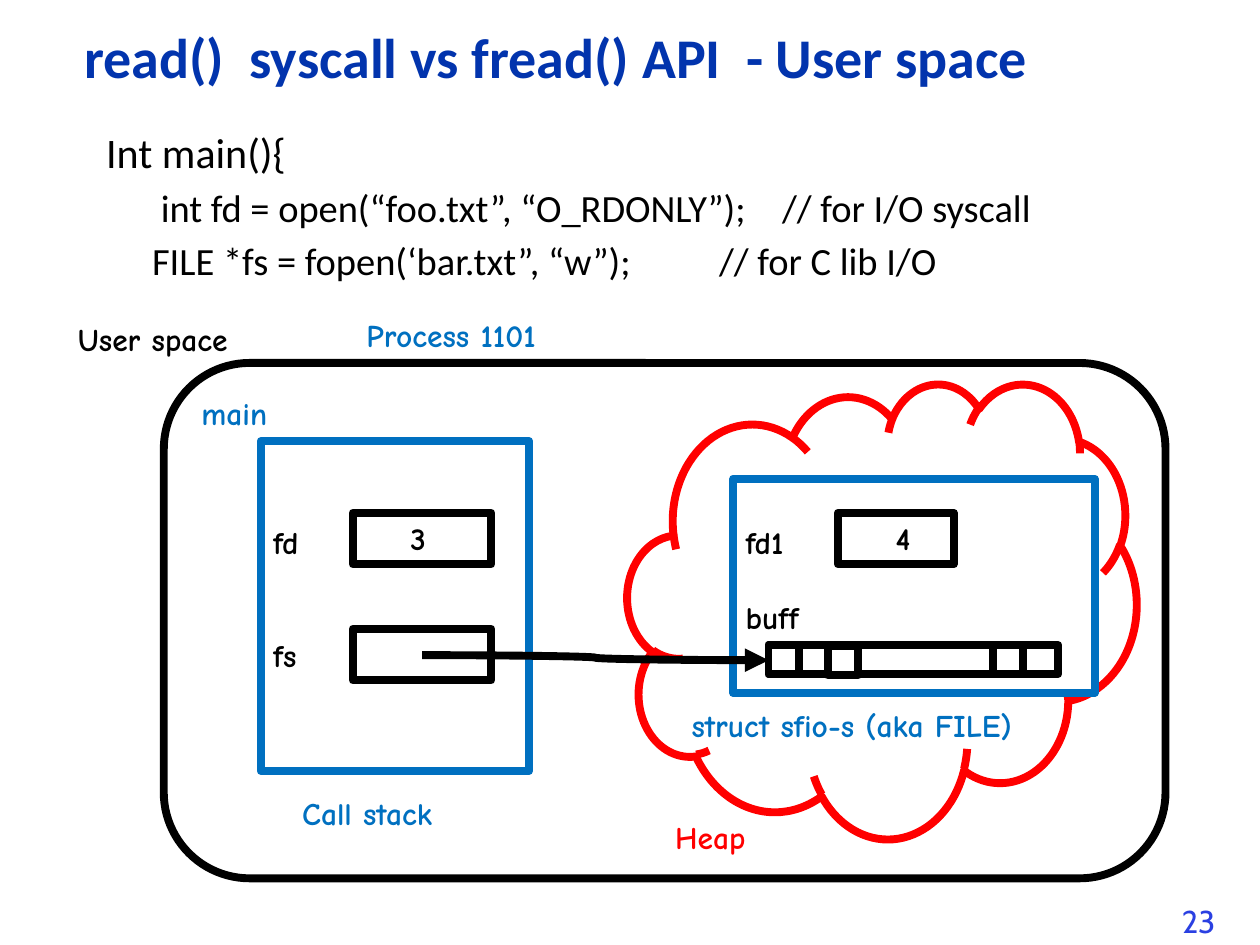
from lxml.etree import SubElement
from pptx import Presentation
from pptx.dml.color import RGBColor
from pptx.enum.dml import MSO_LINE
from pptx.enum.shapes import MSO_CONNECTOR, MSO_SHAPE
from pptx.enum.text import MSO_ANCHOR, PP_ALIGN
from pptx.oxml.ns import qn
from pptx.util import Pt

BLACK = RGBColor(0x00, 0x00, 0x00)
WHITE = RGBColor(0xFF, 0xFF, 0xFF)
BLUE = RGBColor(0x00, 0x70, 0xC0)
RED = RGBColor(0xFF, 0x00, 0x00)
NAVY = RGBColor(0x02, 0x34, 0xAD)
NUMBER_BLUE = RGBColor(0x2A, 0x40, 0xE2)


class Diagram:
    label_font = "Comic Neue"
    text_font = "Calibri"
    label_size = 18
    line_width = 4.5

    def __init__(self, slide):
        self.slide = slide

    def add_run(self, paragraph, text, size, font, color, bold):
        run = paragraph.add_run()
        run.text = text
        run.font.size = Pt(size)
        run.font.name = font
        run.font.bold = bold
        run.font.color.rgb = color

    def text_frame(self, left, top, width, height):
        shape = self.slide.shapes.add_textbox(Pt(left), Pt(top), Pt(width), Pt(height))
        shape.text_frame.word_wrap = True
        return shape.text_frame

    def label(self, text, left, top, width, color, font=label_font, bold=True):
        frame = self.text_frame(left, top, width, 29)
        self.add_run(frame.paragraphs[0], text, self.label_size, font, color, bold)

    def title(self, text, left, top, width, height):
        frame = self.text_frame(left, top, width, height)
        frame.vertical_anchor = MSO_ANCHOR.MIDDLE
        paragraph = frame.paragraphs[0]
        paragraph.line_spacing = 0.9
        self.add_run(paragraph, text, 32, self.text_font, NAVY, True)

    def code(self, lines, left, top, width, height):
        frame = self.text_frame(left, top, width, height)
        for index, (text, size, indent) in enumerate(lines):
            paragraph = frame.add_paragraph() if index else frame.paragraphs[0]
            paragraph.line_spacing = 0.9
            paragraph.space_before = Pt(0.3 * size)
            paragraph._p.get_or_add_pPr().set("marL", str(Pt(indent)))
            self.add_run(paragraph, text, size, self.text_font, BLACK, False)

    def box(self, left, top, width, height, line=BLACK, kind=MSO_SHAPE.RECTANGLE,
            texts=(), color=BLACK, inset_left=7.2, inset_top=3.6, gap=0):
        shape = self.slide.shapes.add_shape(kind, Pt(left), Pt(top), Pt(width), Pt(height))
        shape.shadow.inherit = False
        shape.fill.solid()
        shape.fill.fore_color.rgb = WHITE
        shape.line.color.rgb = line
        shape.line.width = Pt(self.line_width)
        frame = shape.text_frame
        frame.vertical_anchor = MSO_ANCHOR.TOP
        frame.margin_left = Pt(inset_left)
        frame.margin_top = Pt(inset_top)
        for index, text in enumerate(texts):
            paragraph = frame.add_paragraph() if index else frame.paragraphs[0]
            paragraph.alignment = PP_ALIGN.LEFT
            if index:
                paragraph.space_before = Pt(gap)
            self.add_run(paragraph, text, self.label_size, self.label_font, color, True)

    def arrow(self, start_x, start_y, end_x, end_y):
        connector = self.slide.shapes.add_connector(
            MSO_CONNECTOR.CURVE, Pt(start_x), Pt(start_y), Pt(end_x), Pt(end_y))
        connector.line.color.rgb = BLACK
        connector.line.width = Pt(self.line_width)
        connector.line.dash_style = MSO_LINE.SOLID
        SubElement(connector.line._get_or_add_ln(), qn("a:tailEnd"), type="triangle")
        SubElement(connector._element.spPr, qn("a:effectLst"))


def main():
    presentation = Presentation()
    presentation.slide_width = Pt(720)
    presentation.slide_height = Pt(540)
    slide = presentation.slides.add_slide(presentation.slide_layouts[6])
    diagram = Diagram(slide)

    diagram.label("23", 668.2, 511.9, 36.7, NUMBER_BLUE, "Cabin", False)
    diagram.title("read()  syscall vs fread() API  - User space", 41, 13.7, 563.8, 41.8)
    diagram.code([
        (" Int main(){", 24, 0),
        (" int fd = open(“foo.txt”, “O_RDONLY”); \t// for I/O syscall", 22, 31.7),
        ("FILE *fs = fopen(‘bar.txt”, “w”); \t\t// for C lib I/O", 22, 31.7),
    ], 48.2, 72, 624.2, 95.8)

    diagram.box(93.6, 207.4, 572.4, 294.5, kind=MSO_SHAPE.ROUNDED_RECTANGLE,
                texts=["main"], color=BLUE)
    diagram.label("User space", 37.4, 179.3, 111.6, BLACK)

    diagram.box(149, 252, 153.4, 188.6, BLUE, texts=["fd", "fs"], inset_top=46.6, gap=43)
    diagram.box(201.6, 293, 79.2, 29.5, texts=["3"], inset_left=33)
    diagram.box(201.6, 359.3, 79.2, 29.5)
    diagram.label("Call stack", 165.6, 450, 100, BLUE)

    diagram.box(358.6, 218.9, 290.9, 259.9, RED, MSO_SHAPE.CLOUD)
    diagram.box(419, 273.6, 206.6, 122.4, BLUE, texts=["fd1", "buff"], inset_top=25.1, gap=21.5)
    diagram.box(478.8, 293, 66.2, 29.5, texts=["4"], inset_left=33)
    diagram.box(439.2, 368.6, 165.6, 16.6)
    diagram.label("Heap", 378.7, 463.7, 58.3, RED)
    diagram.arrow(241.2, 374.4, 439.2, 377.3)
    for left, top in [(439.2, 368.6), (473, 369.4), (567.4, 368.6)]:
        diagram.box(left, top, 17.3, 16.6)
    diagram.label("struct sfio-s (aka FILE)", 388.1, 399.6, 229.7, BLUE)
    diagram.label("Process 1101", 202.3, 177.1, 131.8, BLUE)

    presentation.save("out.pptx")


if __name__ == "__main__":
    main()
